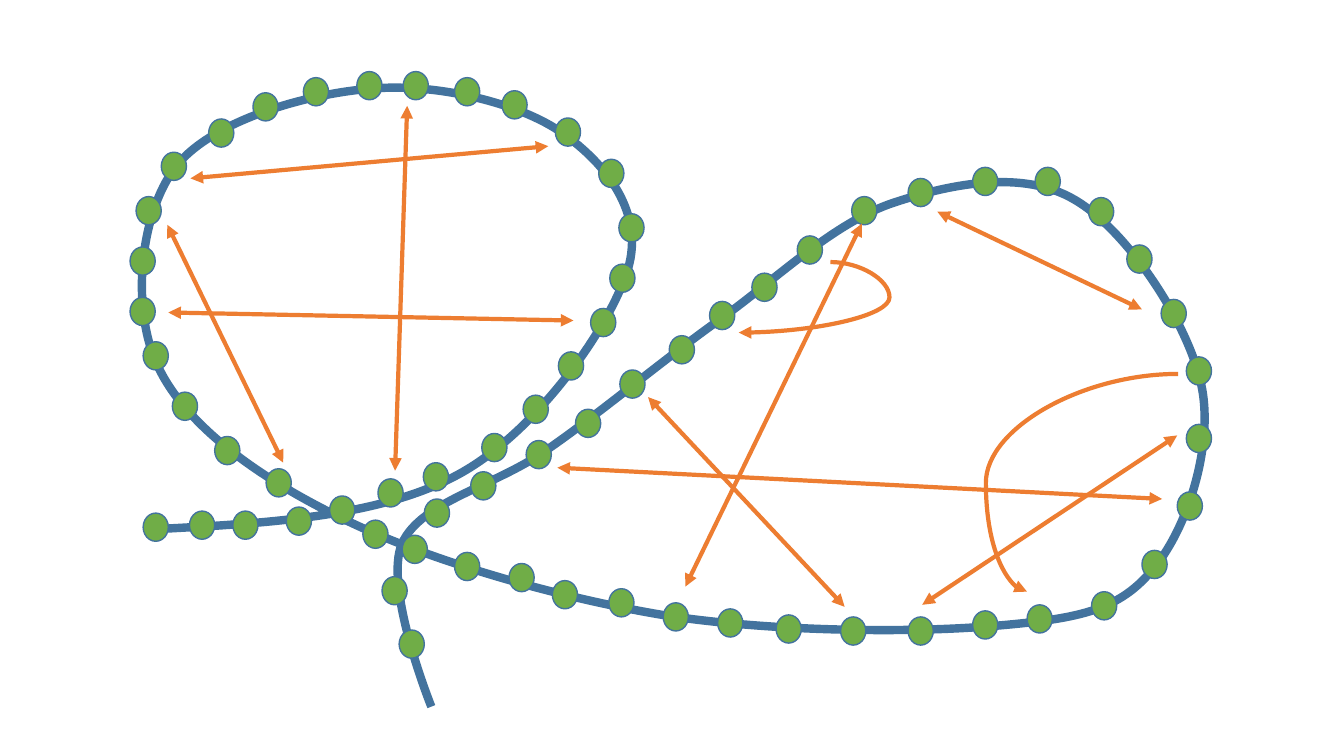
from dataclasses import dataclass

from lxml import etree
from pptx import Presentation
from pptx import util as u
from pptx.dml.color import RGBColor
from pptx.enum import shapes
from pptx.oxml.ns import qn

UNIT = 2.54  # centimetres in one unit of the coordinates below


@dataclass(frozen=True)
class Theme:
    strand: RGBColor = RGBColor(0x43, 0x73, 0x9E)
    bead: RGBColor = RGBColor(0x70, 0xAD, 0x47)
    contact: RGBColor = RGBColor(0xED, 0x7D, 0x31)
    strand_pt: float = 6
    bead_pt: float = 1
    contact_pt: float = 3


STRAND_START = (1.54, 5.25)
# Each row holds two control points and the end point of one Bezier segment.
STRAND_CURVES = [
    [(2.66, 5.19), (3.78, 5.13), (4.56, 4.7)],
    [(5.34, 4.27), (6.06, 3.23), (6.23, 2.67)],
    [(6.4, 2.11), (6.01, 1.62), (5.58, 1.32)],
    [(5.16, 1.02), (4.32, 0.82), (3.68, 0.88)],
    [(3.04, 0.93), (2.09, 1.2), (1.74, 1.66)],
    [(1.39, 2.12), (1.29, 3.06), (1.57, 3.64)],
    [(1.85, 4.23), (2.58, 4.75), (3.41, 5.15)],
    [(4.25, 5.56), (5.5, 5.92), (6.57, 6.1)],
    [(7.65, 6.27), (9.05, 6.28), (9.86, 6.21)],
    [(10.67, 6.14), (11.08, 6.07), (11.42, 5.67)],
    [(11.77, 5.28), (12.05, 4.43), (11.92, 3.82)],
    [(11.79, 3.2), (11.18, 2.28), (10.66, 1.98)],
    [(10.15, 1.68), (9.43, 1.82), (8.84, 2.02)],
    [(8.24, 2.23), (7.67, 2.8), (7.1, 3.2)],
    [(6.53, 3.61), (5.95, 4.1), (5.43, 4.46)],
    [(4.91, 4.83), (4.18, 4.97), (3.99, 5.39)],
    [(3.8, 5.82), (4.28, 7.01), (4.28, 7.01)],
]

BEAD_SIZE = (0.25, 0.28)
# Top left corners, in order along the strand.
BEADS = [
    # tail and right side of the small loop
    (1.42, 5.09), (1.88, 5.07), (2.31, 5.07), (2.84, 5.03), (3.27, 4.92),
    (3.75, 4.75), (4.2, 4.59), (4.78, 4.3), (5.19, 3.92), (5.54, 3.49),
    (5.86, 3.06), (6.05, 2.62), (6.14, 2.12), (5.94, 1.58), (5.51, 1.17),
    # top and left side of the small loop
    (4.98, 0.9), (4.51, 0.77), (4, 0.71), (3.54, 0.71), (3.01, 0.77),
    (2.51, 0.92), (2.07, 1.18), (1.6, 1.51), (1.35, 1.95), (1.29, 2.45),
    (1.29, 2.95), (1.42, 3.39), (1.71, 3.89), (2.13, 4.33), (2.64, 4.65),
    # bottom of the large loop
    (3.6, 5.16), (3.99, 5.31), (4.51, 5.48), (5.05, 5.59), (5.48, 5.76),
    (6.04, 5.84), (6.58, 5.98), (7.12, 6.04), (7.7, 6.1), (8.34, 6.12),
    (9.01, 6.12), (9.65, 6.06), (10.19, 6), (10.83, 5.87),
    # right side and top of the large loop
    (11.33, 5.46), (11.68, 4.88), (11.77, 4.21), (11.77, 3.54),
    (11.52, 2.97), (11.18, 2.43), (10.8, 1.96), (10.27, 1.66),
    (9.65, 1.66), (9.01, 1.77), (8.45, 1.95),
    # left side of the large loop and loose end
    (7.91, 2.34), (7.46, 2.71), (7.04, 2.99), (6.64, 3.33), (6.15, 3.67),
    (5.71, 4.06), (5.22, 4.37), (4.67, 4.68), (4.21, 4.95), (3.79, 5.72),
    (3.96, 6.25),
]

STRAIGHT_CONTACTS = [
    ((9.3, 2.1), (11.33, 3.07)),
    ((1.89, 1.77), (5.44, 1.45)),
    ((11.68, 4.32), (9.15, 6)),
    ((1.67, 3.1), (5.69, 3.18)),
    ((6.43, 3.94), (8.38, 6.02)),
    ((5.53, 4.64), (11.53, 4.95)),
    ((4.04, 1.05), (3.92, 4.67)),
    ((1.66, 2.23), (2.81, 4.59)),
    ((8.55, 2.22), (6.8, 5.82)),
]
# Begin, end, and bend as thousandths of a percent of the width.
CURVED_CONTACTS = [
    ((8.24, 2.6), (7.33, 3.3), -64400),
    ((11.69, 3.71), (10.19, 5.87), 127200),
]


def cm(point):
    return [u.Cm(v * UNIT) for v in point]


class Drawing:
    def __init__(self, slide, theme):
        self.theme = theme
        self.shapes = slide.shapes.add_group_shape().shapes

    def set_line(self, sp, color, width):
        sp.line.color.rgb = color
        sp.line.width = u.Pt(width)

    def strand(self, start, curves):
        """Draw a smooth open line through Bezier segments."""
        builder = self.shapes.build_freeform(*cm(start))
        builder.add_line_segments([cm(p) for c in curves for p in c], close=False)
        sp = builder.convert_to_shape()
        sp.shadow.inherit = False
        sp.fill.background()
        self.set_line(sp, self.theme.strand, self.theme.strand_pt)
        steps = list(sp._element.iter(qn("a:lnTo")))
        for i in range(0, len(steps), 3):
            cubic = etree.Element(qn("a:cubicBezTo"))
            steps[i].addprevious(cubic)
            for step in steps[i:i + 3]:
                cubic.append(step[0])
                step.getparent().remove(step)

    def bead(self, corner):
        sp = self.shapes.add_shape(shapes.MSO_SHAPE.OVAL, *cm(corner), *cm(BEAD_SIZE))
        sp.shadow.inherit = False
        sp.fill.solid()
        sp.fill.fore_color.rgb = self.theme.bead
        self.set_line(sp, self.theme.strand, self.theme.bead_pt)

    def contact(self, begin, end, bend=None):
        """Draw a two-headed straight arrow, or a one-headed curve if bent."""
        kinds = shapes.MSO_CONNECTOR
        kind = kinds.STRAIGHT if bend is None else kinds.CURVE
        sp = self.shapes.add_connector(kind, *cm(begin), *cm(end))
        self.set_line(sp, self.theme.contact, self.theme.contact_pt)
        ln = sp.line._get_or_add_ln()
        for tag in ["a:headEnd", "a:tailEnd"] if bend is None else ["a:tailEnd"]:
            etree.SubElement(ln, qn(tag), type="triangle")
        props = sp._element.spPr
        etree.SubElement(props, qn("a:effectLst"))
        if bend is not None:
            guides = props.find(qn("a:prstGeom")).get_or_add_avLst()
            etree.SubElement(guides, qn("a:gd"), name="adj1", fmla=f"val {bend}")


def main():
    prs = Presentation()
    prs.slide_width, prs.slide_height = u.Cm(33.87), u.Cm(19.05)
    s = prs.slides.add_slide(prs.slide_layouts[6])
    drawing = Drawing(s, Theme())
    drawing.strand(STRAND_START, STRAND_CURVES)
    for corner in BEADS:
        drawing.bead(corner)
    for ends in STRAIGHT_CONTACTS + CURVED_CONTACTS:
        drawing.contact(*ends)
    prs.save("out.pptx")


if __name__ == "__main__":
    main()
